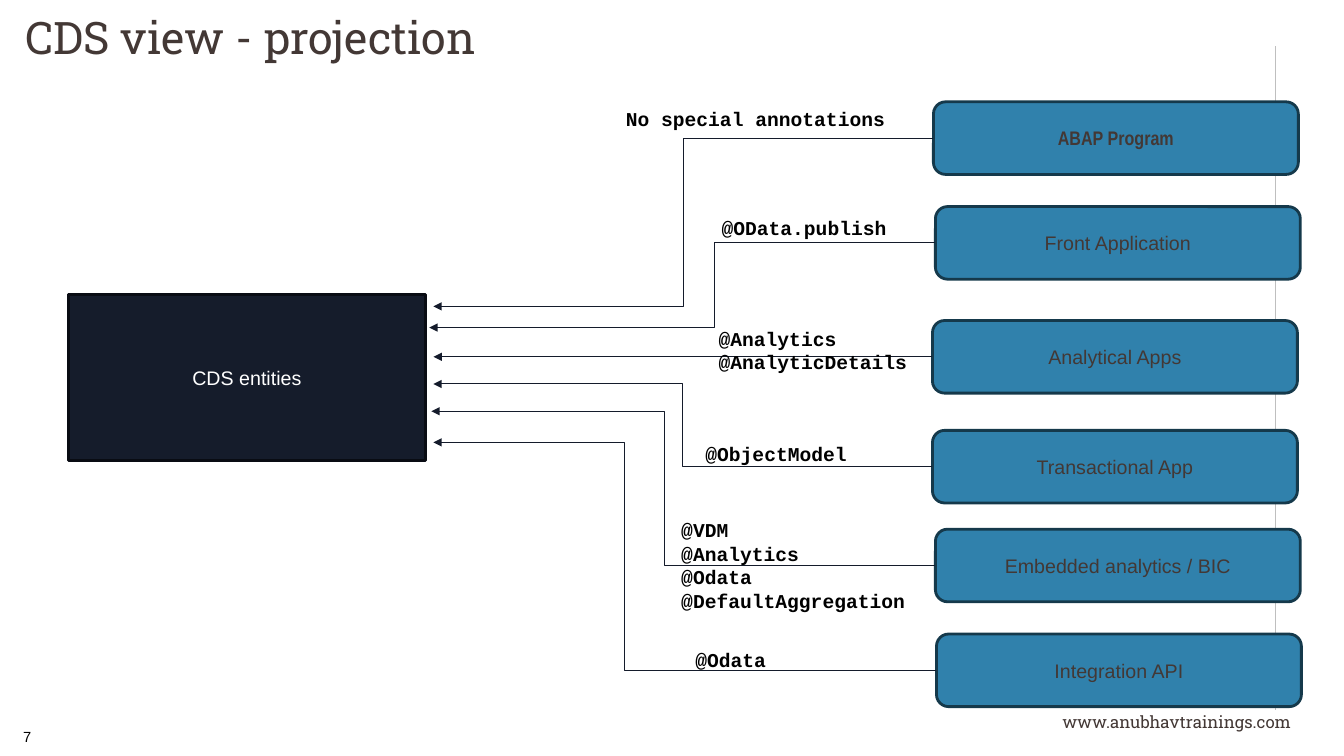
from dataclasses import dataclass

import pptx
import pptx.dml.color
import pptx.enum.shapes
import pptx.enum.text
import pptx.oxml
import pptx.oxml.ns
import pptx.util

SHAPE = pptx.enum.shapes.MSO_SHAPE
CONNECTOR = pptx.enum.shapes.MSO_CONNECTOR
ANCHOR = pptx.enum.text.MSO_ANCHOR
ALIGN = pptx.enum.text.PP_ALIGN


@dataclass(frozen=True)
class Theme:
    heading_font: str = "Roboto Slab"
    body_font: str = "Arial"
    narrow_font: str = "Arial Narrow"
    code_font: str = "Courier New"
    ink: str = "433835"
    black: str = "000000"
    white: str = "FFFFFF"
    navy: str = "151C2B"
    navy_edge: str = "090C13"
    blue: str = "3081AC"
    blue_edge: str = "15394B"
    arrow: str = "141B2B"
    rule: str = "BFBFBF"
    title_size: float = 32
    body_size: float = 14
    footer_size: float = 12
    number_size: float = 10.5
    edge_width: float = 2
    line_width: float = 0.75


THEME = Theme()


@dataclass(frozen=True)
class Box:
    """A rectangle whose areas are given in percent of its width and height."""
    left: int
    top: int
    width: int
    height: int

    def point(self, x, y):
        return (int(self.left + self.width * x / 100),
                int(self.top + self.height * y / 100))

    def area(self, x, y, width, height):
        return (*self.point(x, y), int(self.width * width / 100),
                int(self.height * height / 100))


# Consumer name, its font, left, top; arrow end x, y; percent of the way to the
# bend (None for a straight arrow); label left, top, width; annotations
CONSUMERS = [
    ("ABAP Program", THEME.narrow_font, 69.45, 13.47, 32.25, 40.53, 50,
     45.83, 13.47, 25.95, ["No special annotations"]),
    ("Front Application", THEME.body_font, 69.6, 27.33, 31.95, 43.33, 43.6,
     52.95, 27.87, 21.23, ["@OData.publish"]),
    ("Analytical Apps", THEME.body_font, 69.38, 42.4, 32.25, 47.2, None,
     52.73, 42.53, 16.5, ["@Analytics", "@AnalyticDetails"]),
    ("Transactional App", THEME.body_font, 69.38, 56.93, 32.25, 50.8, 50,
     51.75, 57.73, 15.6, ["@ObjectModel"]),
    ("Embedded analytics / BIC", THEME.body_font, 69.6, 70, 32.1, 54.4, 53.8,
     49.95, 67.87, 23.63, ["@VDM", "@Analytics", "@Odata", "@DefaultAggregation"]),
    ("Integration API", THEME.body_font, 69.68, 83.87, 32.25, 58.53, 62.1,
     51, 85.07, 15.6, ["@Odata"]),
]
CONSUMER_WIDTH, CONSUMER_HEIGHT = 27.15, 9.6
LABEL_PADDING, LABEL_LINE = 1.4, 3.12


def color(value):
    return pptx.dml.color.RGBColor.from_string(value)


def write(shape, lines, *, size=THEME.body_size, font=THEME.body_font,
          ink=THEME.ink, bold=False, align=ALIGN.LEFT, anchor=ANCHOR.TOP,
          spacing=None):
    frame = shape.text_frame
    frame.word_wrap = True
    frame.auto_size = pptx.enum.text.MSO_AUTO_SIZE.NONE
    frame.vertical_anchor = anchor
    frame.text = "\n".join(lines)
    for paragraph in frame.paragraphs:
        paragraph.alignment = align
        paragraph.line_spacing = spacing
        paragraph.font.size = pptx.util.Pt(size)
        paragraph.font.name = font
        paragraph.font.bold = bold
        paragraph.font.color.rgb = color(ink)


def add_block(slide, kind, place, fill, edge):
    shape = slide.shapes.add_shape(kind, *place)
    shape.shadow.inherit = False
    shape.fill.solid()
    shape.fill.fore_color.rgb = color(fill)
    shape.line.color.rgb = color(edge)
    shape.line.width = pptx.util.Pt(THEME.edge_width)
    return shape


def add_line(slide, kind, start, end, ink):
    line = slide.shapes.add_connector(kind, *start, *end)
    line.line.color.rgb = color(ink)
    line.line.width = pptx.util.Pt(THEME.line_width)
    line._element.spPr.append(pptx.oxml.parse_xml(
        f"<a:effectLst {pptx.oxml.ns.nsdecls('a')}/>"))
    return line


def add_arrow(slide, source, start, end, bend):
    kind = CONNECTOR.STRAIGHT if bend is None else CONNECTOR.ELBOW
    arrow = add_line(slide, kind, start, end, THEME.arrow)
    arrow.begin_connect(source, 1)
    arrow.line._get_or_add_ln().append(pptx.oxml.parse_xml(
        f"<a:tailEnd {pptx.oxml.ns.nsdecls('a')} type='triangle'/>"))
    if bend is not None:
        geometry = arrow._element.spPr.find(pptx.oxml.ns.qn("a:prstGeom"))
        guides = geometry.find(pptx.oxml.ns.qn("a:avLst"))
        guides.append(pptx.oxml.parse_xml(
            f"<a:gd {pptx.oxml.ns.nsdecls('a')} name='adj1' "
            f"fmla='val {round(bend * 1000)}'/>"))


def draw_frame(slide, box):
    # Margin rule and title
    add_line(slide, CONNECTOR.STRAIGHT, box.point(94.88, 6.13),
             box.point(94.88, 93.87), THEME.rule)
    title = slide.shapes.title
    title.left, title.top, title.width, title.height = box.area(1.13, 2, 91.35, 7.47)
    write(title, ["CDS view - projection"], size=THEME.title_size,
          font=THEME.heading_font, spacing=0.8)
    # Web address and page number
    address = slide.shapes.add_textbox(*box.area(78.3, 93.47, 20.7, 4))
    write(address, ["www.anubhavtrainings.com"], size=THEME.footer_size,
          font=THEME.heading_font)
    number = slide.shapes.add_textbox(*box.area(0.98, 95.6, 1.8, 3.73))
    write(number, ["7"], size=THEME.number_size, ink=THEME.black)


def draw_projection(slide, box):
    # Entities on the left
    entities = add_block(slide, SHAPE.RECTANGLE, box.area(5.1, 38.93, 26.55, 22),
                         THEME.navy, THEME.navy_edge)
    write(entities, ["CDS entities"], ink=THEME.white, align=ALIGN.CENTER,
          anchor=ANCHOR.MIDDLE)
    # Each consumer with its arrow and annotations
    for (name, font, left, top, end_x, end_y, bend,
         label_left, label_top, label_width, annotations) in CONSUMERS:
        consumer = add_block(slide, SHAPE.ROUNDED_RECTANGLE,
                             box.area(left, top, CONSUMER_WIDTH, CONSUMER_HEIGHT),
                             THEME.blue, THEME.blue_edge)
        write(consumer, [name], font=font, bold=font == THEME.narrow_font,
              align=ALIGN.CENTER, anchor=ANCHOR.MIDDLE)
        add_arrow(slide, consumer, box.point(left, top + CONSUMER_HEIGHT / 2),
                  box.point(end_x, end_y), bend)
        label_height = LABEL_PADDING + LABEL_LINE * len(annotations)
        label = slide.shapes.add_textbox(
            *box.area(label_left, label_top, label_width, label_height))
        write(label, annotations, font=THEME.code_font, ink=THEME.black, bold=True)


def main():
    presentation = pptx.Presentation()
    presentation.slide_width = pptx.util.Inches(13.33)
    presentation.slide_height = pptx.util.Inches(7.5)
    slide = presentation.slides.add_slide(presentation.slide_layouts[5])
    page = Box(0, 0, presentation.slide_width, presentation.slide_height)
    draw_frame(slide, page)
    draw_projection(slide, page)
    presentation.save("out.pptx")


if __name__ == "__main__":
    main()
